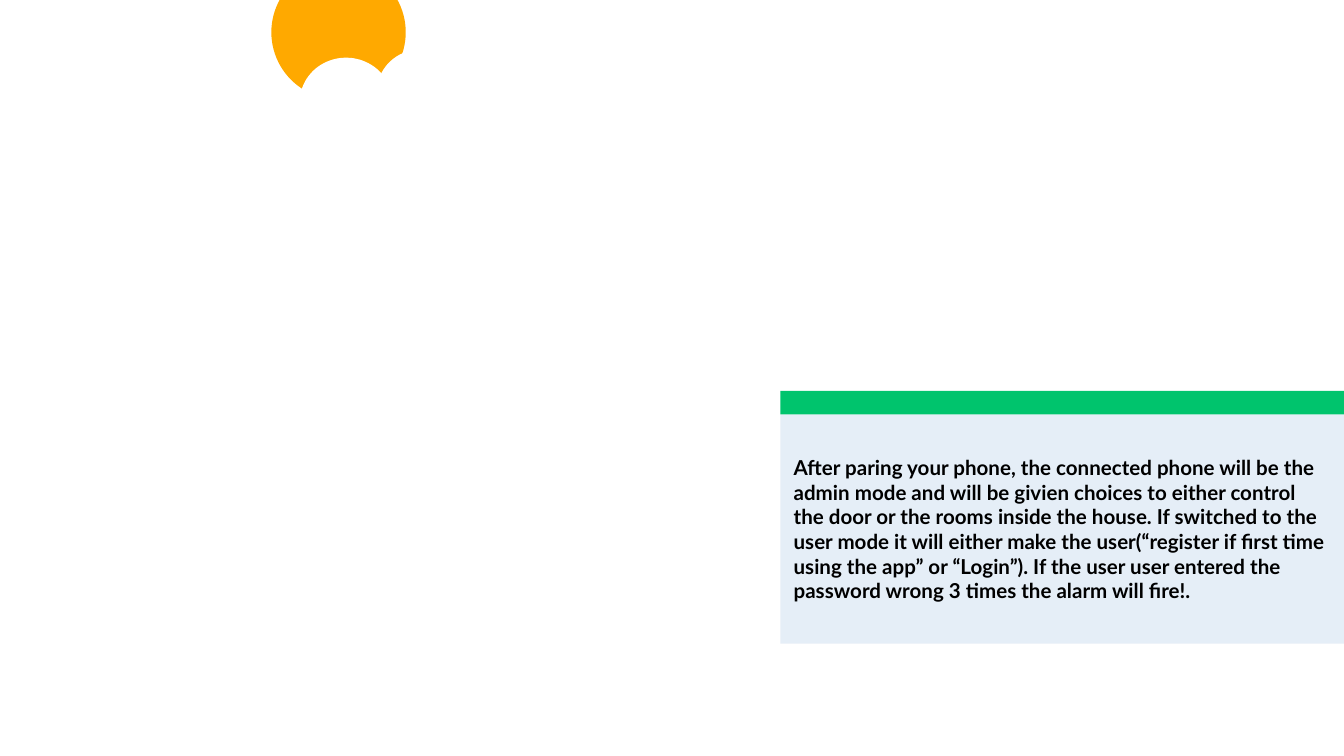
"""Build the phone pairing slide: a sun behind a cloud and a captioned panel."""
import math

from pptx import Presentation
from pptx.dml.color import RGBColor
from pptx.enum import shapes, text
from pptx.util import Pt

WHITE = RGBColor(0xFF, 0xFF, 0xFF)
BLACK = RGBColor(0x00, 0x00, 0x00)
ORANGE = RGBColor(0xFF, 0xA9, 0x00)
GREEN = RGBColor(0x00, 0xC4, 0x6D)
PALE_BLUE = RGBColor(0xE5, 0xEE, 0xF7)

CLOUD_BASE = 59
CLOUD_PUFFS = [
    (144.7, 59, 22.5, 16.7),
    (185.4, 54.7, 24.8, 23.8),
    (224.6, 50.4, 23, 23.7),
]
PANEL_LEFT, PANEL_TOP, PANEL_WIDTH, PANEL_HEIGHT = 418.1, 222, 301.9, 122.9
BAND_HEIGHT = 12.6
CAPTION = (
    "After paring your phone, the connected phone will be the admin mode "
    "and will be givien choices to either control the door or the rooms "
    "inside the house. If switched to the user mode it will either make "
    "the user(“register if first time using the app” or “Login”). If the "
    "user user entered the password wrong 3 times the alarm will fire!."
)


def paint(figure, colour):
    figure.shadow.inherit = False
    figure.fill.solid()
    figure.fill.fore_color.rgb = colour
    figure.line.fill.background()
    return figure


def add_figure(slide, kind, left, top, width, height, colour):
    figure = slide.shapes.add_shape(kind, Pt(left), Pt(top), Pt(width), Pt(height))
    return paint(figure, colour)


def add_puff(slide, centre_x, centre_y, radius_x, radius_y, steps=48):
    """Draw an ellipse cut off flat at the base of the cloud."""
    dip = math.asin((CLOUD_BASE - centre_y) / radius_y)
    sweep = math.pi + 2 * dip
    angles = [dip - sweep * step / steps for step in range(steps + 1)]
    outline = [
        (Pt(centre_x + radius_x * math.cos(a)), Pt(centre_y + radius_y * math.sin(a)))
        for a in angles
    ]
    builder = slide.shapes.build_freeform(*outline[0])
    builder.add_line_segments(outline[1:], close=True)
    paint(builder.convert_to_shape(), WHITE)


def write(figure, words, *, font, size, colour, bold=False, inset=7.2):
    frame = figure.text_frame
    frame.word_wrap = True
    frame.vertical_anchor = text.MSO_ANCHOR.MIDDLE
    frame.margin_left = frame.margin_right = Pt(inset)
    frame.margin_top = frame.margin_bottom = Pt(inset)
    paragraph = frame.paragraphs[0]
    paragraph.alignment = text.PP_ALIGN.LEFT
    run = paragraph.add_run()
    run.text = words
    run.font.name = font
    run.font.size = Pt(size)
    run.font.bold = bold
    run.font.color.rgb = colour


def main():
    deck = Presentation()
    deck.slide_width, deck.slide_height = Pt(720), Pt(405)
    slide = deck.slides.add_slide(deck.slide_layouts[6])

    rectangle = shapes.MSO_SHAPE.RECTANGLE
    panel = add_figure(slide, rectangle, PANEL_LEFT, PANEL_TOP,
                       PANEL_WIDTH, PANEL_HEIGHT, PALE_BLUE)
    write(panel, CAPTION, font="Lato", size=11, colour=BLACK, bold=True)

    add_figure(slide, shapes.MSO_SHAPE.OVAL, 145.4, -18.7, 72, 72, ORANGE)
    for puff in CLOUD_PUFFS:
        add_puff(slide, *puff)

    add_figure(slide, rectangle, PANEL_LEFT, PANEL_TOP - BAND_HEIGHT,
               PANEL_WIDTH, BAND_HEIGHT, GREEN)
    deck.save("out.pptx")


if __name__ == "__main__":
    main()
